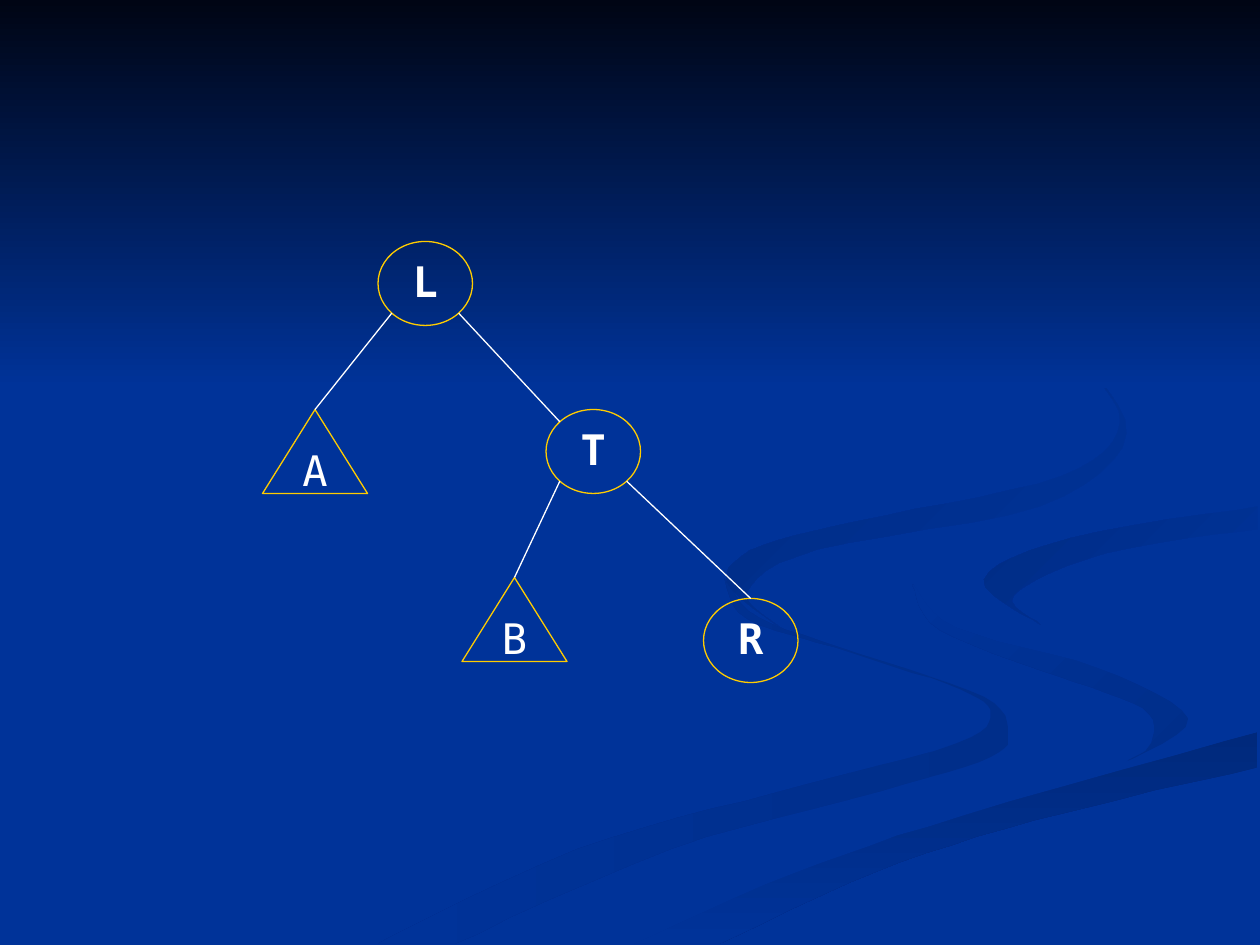
from lxml import etree
from pptx import Presentation
from pptx import util as u
from pptx.dml.color import RGBColor
from pptx.enum import shapes, text
from pptx.oxml.ns import qn

NAVY, GOLD, WHITE = "003399", "FFCC00", "FFFFFF"
CELL = u.Inches(1) // 12  # the tree sits on a grid of 1/12 inch
STEPS = 6


def paint(color_format, hex_color):
    color_format.rgb = RGBColor.from_string(hex_color)


def smooth(edge):
    """Points of a Catmull-Rom curve through the points of an edge."""
    padded = [edge[0], *edge, edge[-1]]
    curve = [edge[0]]
    for knots in zip(padded, padded[1:], padded[2:], padded[3:]):
        for step in range(1, STEPS + 1):
            t = step / STEPS
            curve.append(tuple(
                round(b + t / 2 * (c - a + t * (2*a - 5*b + 4*c - d + t * (3*b - a - 3*c + d))))
                for a, b, c, d in zip(*knots)))
    return curve


presentation = Presentation()
presentation.slide_width, presentation.slide_height = u.Inches(10), u.Inches(7.5)
slide = presentation.slides.add_slide(presentation.slide_layouts[6])
slide.background.fill.solid()
paint(slide.background.fill.fore_color, NAVY)

# Edges shared by neighbouring ribbons, in 1/100 inch
bend = [(725, 464), (759, 498), (871, 530), (943, 570)]
bank = [(503, 749), (630, 693), (765, 647), (998, 581)]
shore = [(998, 402), (850, 427), (781, 460)]

# Background ribbons: first colour, last colour, counter-clockwise angle, edges
ribbons = [
    ("002E8A", NAVY, 180, [
        [(575, 459), (593, 491), (679, 519), (762, 547), (786, 566), (759, 590),
         (616, 629), (458, 674), (300, 749)],
        [(361, 749), (532, 674), (699, 628), (786, 601), (800, 581), (781, 553),
         (682, 519), (602, 490), (575, 459)]]),
    ("002E8A", NAVY, 135, [
        [(724, 464), (746, 500), (838, 536), (907, 562), (914, 589), (894, 605)],
        [(894, 605), *bend[::-1]]]),
    ("00297C", NAVY, 270, [
        bank, [(998, 609), (821, 651), (695, 692), (571, 749)]]),
    (NAVY, NAVY, 0, [
        [*bend, (892, 605), (743, 643), (573, 703), (477, 749)],
        bank,
        [(998, 538), (866, 509), *shore[::-1]],
        [(998, 387), (851, 411), (755, 432), bend[0]]]),
    (NAVY, "002C85", 135, [
        [*shore, (826, 496)], [(826, 496), (805, 472), (878, 439), (998, 420)]]),
    (NAVY, "002B81", 135, [
        [(762, 233), (846, 279), (889, 335), (842, 378), (704, 409), (605, 433),
         (577, 462), (622, 500)],
        [(622, 500), (593, 470), (649, 436), (825, 402), (894, 344), (843, 275),
         (762, 233)]]),
    ("000514", NAVY, 270, [[(0, 0), (1000, 0)], [(1000, 308), (0, 308)]]),
]
for first, last, angle, edges in ribbons:
    outline = [point for edge in edges for point in smooth(edge)]
    builder = slide.shapes.build_freeform(*outline[0], scale=u.Inches(0.01))
    builder.add_line_segments(outline[1:], close=True)
    ribbon = builder.convert_to_shape()
    ribbon.shadow.inherit = False
    ribbon.line.fill.background()
    if first == last:
        ribbon.fill.solid()
        paint(ribbon.fill.fore_color, first)
        continue
    ribbon.fill.gradient()
    ribbon.fill.gradient_angle = angle
    for position, (stop, hex_color) in enumerate(zip(ribbon.fill.gradient_stops, (first, last))):
        paint(stop.color, hex_color)
        stop.position = position

# Tree nodes: circles for single nodes, triangles for subtrees
circle = (shapes.MSO_SHAPE.OVAL, 9, True)
subtree = (shapes.MSO_SHAPE.ISOSCELES_TRIANGLE, 10, False)
nodes = {}
for label, (kind, columns, bold), column, row in [
    ("T", circle, 52, 39), ("L", circle, 36, 23), ("R", circle, 67, 57),
    ("A", subtree, 25, 39), ("B", subtree, 44, 55),
]:
    node = slide.shapes.add_shape(
        kind, column * CELL, row * CELL, columns * CELL, 8 * CELL)
    node.shadow.inherit = False
    node.fill.background()
    paint(node.line.color, GOLD)
    node.line.width = u.Pt(0.75)
    frame = node.text_frame
    frame.word_wrap = False
    frame.vertical_anchor = text.MSO_ANCHOR.MIDDLE
    paragraph = frame.paragraphs[0]
    paragraph.alignment = text.PP_ALIGN.CENTER
    paragraph.line_spacing = 0.9
    run = paragraph.add_run()
    run.text = label
    run.font.name, run.font.size, run.font.bold = "DejaVu Sans Mono", u.Pt(24), bold
    paint(run.font.color, WHITE)
    nodes[label] = node

# Branches leave a circle at 45 degrees; side is -1 for left, 1 for right
DIAGONAL = 0.5 ** 0.5
for parent_label, side, child_label in [
    ("L", -1, "A"), ("T", 1, "R"), ("L", 1, "T"), ("T", -1, "B"),
]:
    parent, child = nodes[parent_label], nodes[child_label]
    start_x = parent.left + parent.width / 2 * (1 + side * DIAGONAL)
    start_y = parent.top + parent.height / 2 * (1 + DIAGONAL)
    end_x = child.left + child.width / 2 * (1 - DIAGONAL)
    end_y = child.top + child.height / 2 * (1 - DIAGONAL)
    branch = slide.shapes.add_connector(
        shapes.MSO_CONNECTOR.STRAIGHT, int(start_x), int(start_y), int(end_x), int(end_y))
    if child_label != "T":
        branch.end_connect(child, 0)
    paint(branch.line.color, WHITE)
    branch.line.width = u.Pt(0.75)
    etree.SubElement(branch._element.spPr, qn("a:effectLst"))

presentation.save("out.pptx")
